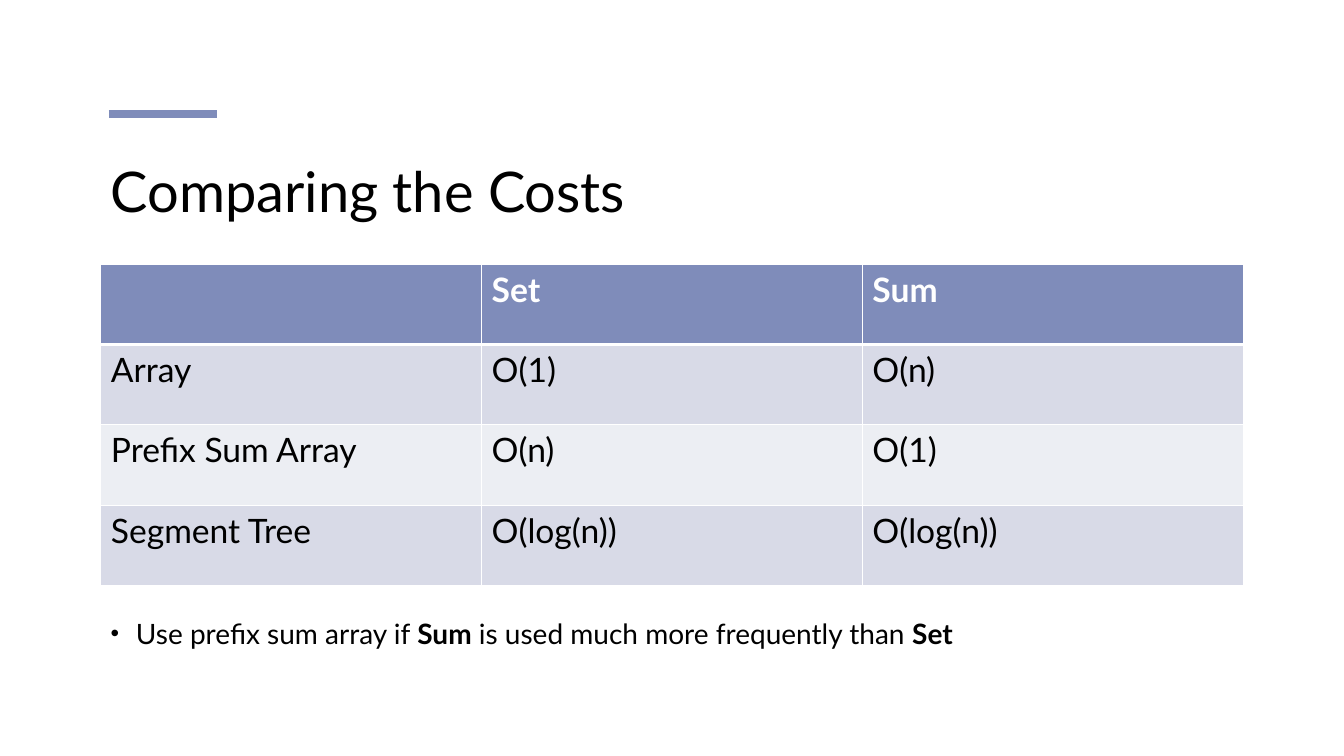
from lxml import etree
from pptx import Presentation
from pptx.dml.color import RGBColor
from pptx.enum.shapes import MSO_CONNECTOR
from pptx.enum.text import MSO_ANCHOR
from pptx.oxml.ns import qn
from pptx.util import Inches, Pt

STRAIGHT = MSO_CONNECTOR.STRAIGHT
TOP = MSO_ANCHOR.TOP

TITLE = "Comparing the Costs"
COSTS = [
    ("", "Set", "Sum"),
    ("Array", "O(1)", "O(n)"),
    ("Prefix Sum Array", "O(n)", "O(1)"),
    ("Segment Tree", "O(log(n))", "O(log(n))"),
]
ADVICE = [
    ("Use prefix sum array if ", False),
    ("Sum", True),
    (" is used much more frequently than ", False),
    ("Set", True),
]
FONT = "Lato"
COLORS = {
    "accent": "7F8CBA",
    "odd": "D8DAE7",
    "even": "ECEEF3",
    "text": "000000",
    "white": "FFFFFF",
}
LEFT, WIDTH = 1, 11.33


def color(name):
    return RGBColor.from_string(COLORS[name])


def add_run(para, text, size, color_name="text", bold=False):
    span = para.add_run()
    span.text = text
    span.font.name = FONT
    span.font.size = Pt(size)
    span.font.bold = bold
    span.font.color.rgb = color(color_name)


def add_text_box(page, top, height):
    """Add a wrapping text box across the content width; return its paragraph."""
    box = page.shapes.add_textbox(Inches(LEFT), Inches(top), Inches(WIDTH), Inches(height))
    box.text_frame.word_wrap = True
    box.text_frame.vertical_anchor = TOP
    return box.text_frame.paragraphs[0]


def add_bullet(para):
    properties = para._p.get_or_add_pPr()
    properties.set("marL", str(Inches(0.25)))
    properties.set("indent", str(Inches(-0.25)))
    etree.SubElement(properties, qn("a:buSzPct"), val="87000")
    etree.SubElement(properties, qn("a:buFont"), typeface="Arial")
    etree.SubElement(properties, qn("a:buChar"), char="•")


def set_borders(cell, widths):
    """Draw white borders, widths in points for left, right, top, bottom."""
    properties = cell._tc.get_or_add_tcPr()
    for index, (side, width) in enumerate(zip("LRTB", widths)):
        line = etree.Element(qn(f"a:ln{side}"), w=str(Pt(width)))
        fill = etree.SubElement(line, qn("a:solidFill"))
        etree.SubElement(fill, qn("a:srgbClr"), val=COLORS["white"])
        properties.insert(index, line)


def add_accent(page):
    accent = page.shapes.add_connector(
        STRAIGHT, Inches(1.08), Inches(1.13), Inches(2.15), Inches(1.13))
    accent.line.color.rgb = color("accent")
    accent.line.width = Pt(6)
    etree.SubElement(accent._element.spPr, qn("a:effectLst"))


def add_cost_table(page):
    table = page.shapes.add_table(
        len(COSTS), len(COSTS[0]),
        Inches(LEFT), Inches(2.62), Inches(WIDTH), Inches(3.19)).table
    for row, values in enumerate(COSTS):
        header = row == 0
        fill_name = "accent" if header else "odd" if row % 2 else "even"
        for column, value in enumerate(values):
            cell = table.cell(row, column)
            cell.fill.solid()
            cell.fill.fore_color.rgb = color(fill_name)
            set_borders(cell, (1, 1, 3 if row == 1 else 1, 3 if header else 1))
            if value:
                add_run(cell.text_frame.paragraphs[0], value, 24,
                        "white" if header else "text", header)


def main():
    deck = Presentation()
    deck.slide_width, deck.slide_height = Inches(13.33), Inches(7.5)
    page = deck.slides.add_slide(deck.slide_layouts[6])
    add_accent(page)
    add_run(add_text_box(page, 1.5, 1.44), TITLE, 40)
    advice = add_text_box(page, 6, 0.7)
    advice.line_spacing = 1.2
    add_bullet(advice)
    for text, bold in ADVICE:
        add_run(advice, text, 20, bold=bold)
    add_cost_table(page)
    deck.save("out.pptx")


if __name__ == "__main__":
    main()
